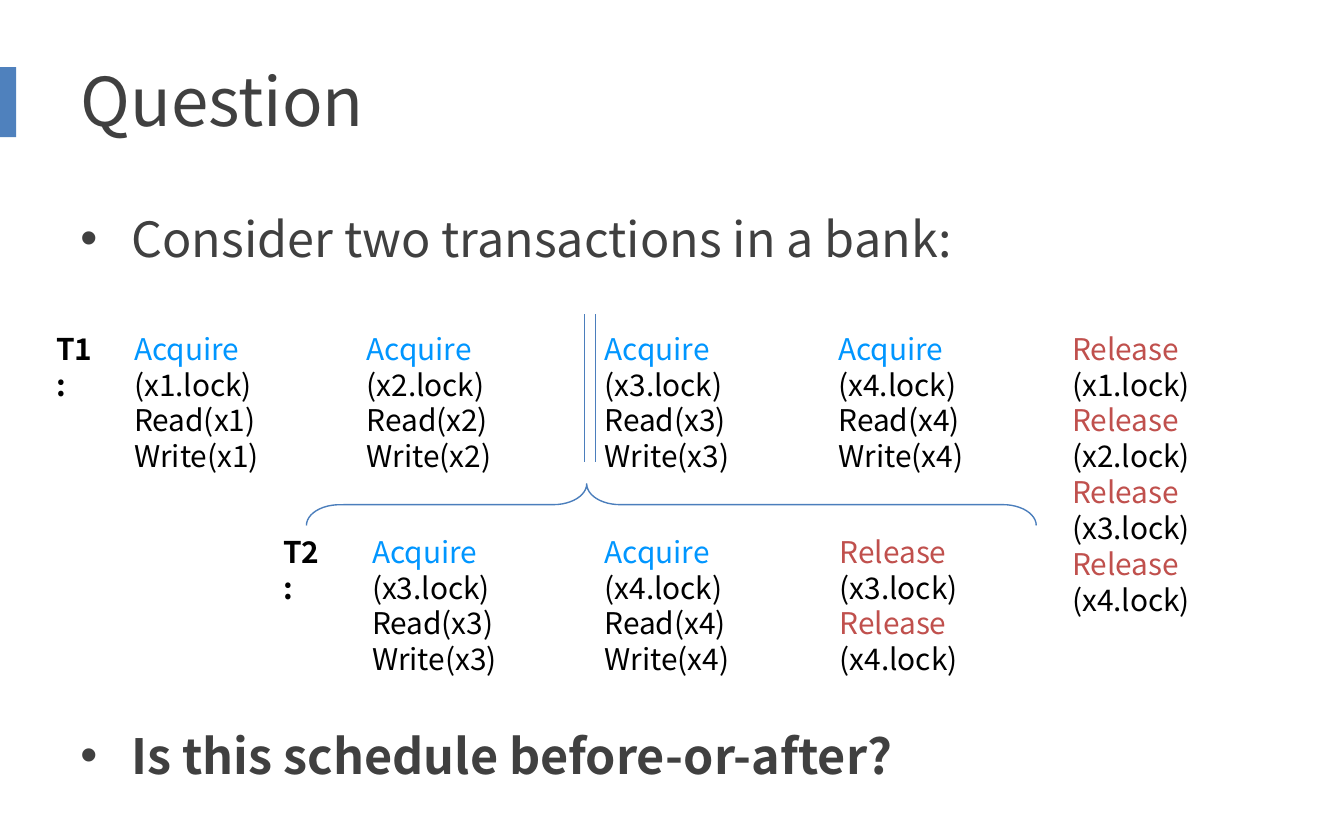
import dataclasses
import typing

import lxml.etree
import pptx
import pptx.dml.color
import pptx.enum.shapes
import pptx.enum.text
import pptx.oxml.ns
import pptx.util

Inches = pptx.util.Inches
RGBColor = pptx.dml.color.RGBColor
FONT = "Noto Sans CJK SC"
ACCENT = RGBColor(0x4F, 0x81, 0xBD)
LINE = RGBColor(0x4B, 0x7E, 0xBC)
GREY = RGBColor(0x40, 0x40, 0x40)
BLACK = RGBColor(0, 0, 0)
ACQUIRE = RGBColor(0x00, 0x96, 0xFF)
RELEASE = RGBColor(0xC0, 0x50, 0x4D)


class Run(typing.NamedTuple):
    text: str
    color: RGBColor = BLACK
    bold: bool = False


Lines = list[list[Run]]


@dataclasses.dataclass
class Block:
    left: float
    top: float
    width: float
    height: float
    lines: Lines


def acquire(item: str) -> Lines:
    return [[Run("Acquire ", ACQUIRE), Run(f"({item}.lock)")],
            [Run(f"Read({item})")], [Run(f"Write({item})")]]


def release(*items: str) -> Lines:
    return [[Run("Release ", RELEASE), Run(f"({item}.lock)")] for item in items]


def draw_block(slide, block: Block, size: float, spacing: float = 1.0,
               anchor=pptx.enum.text.MSO_ANCHOR.TOP, bullet: bool = False):
    box = slide.shapes.add_textbox(*map(Inches, (block.left, block.top, block.width, block.height)))
    frame = box.text_frame
    frame.word_wrap = True
    frame.vertical_anchor = anchor
    for index, line in enumerate(block.lines):
        paragraph = frame.add_paragraph() if index else frame.paragraphs[0]
        paragraph.line_spacing = spacing
        if bullet:
            add_bullet(paragraph)
        for part in line:
            run = paragraph.add_run()
            run.text = part.text
            style = {"name": FONT, "size": pptx.util.Pt(size), "bold": part.bold}
            for attribute, value in style.items():
                setattr(run.font, attribute, value)
            run.font.color.rgb = part.color
    return frame


def add_bullet(paragraph) -> None:
    properties = paragraph._p.get_or_add_pPr()
    properties.set("marL", str(Inches(0.38)))
    properties.set("indent", str(-Inches(0.38)))
    for tag, key, value in (("a:buFont", "typeface", "Arial"), ("a:buChar", "char", "•")):
        lxml.etree.SubElement(properties, pptx.oxml.ns.qn(tag)).set(key, value)


def draw_divider(slide, x: float) -> None:
    divider = slide.shapes.add_connector(
        pptx.enum.shapes.MSO_CONNECTOR.STRAIGHT, *map(Inches, (x, 2.34, x, 3.44)))
    divider.line.color.rgb = LINE
    divider.line.width = pptx.util.Pt(0.75)
    lxml.etree.SubElement(divider._element.spPr, pptx.oxml.ns.qn("a:effectLst"))


def draw_accent(slide) -> None:
    accent = slide.shapes.add_shape(
        pptx.enum.shapes.MSO_SHAPE.RECTANGLE, *map(Inches, (-0.06, 0.5, 0.18, 0.52)))
    accent.shadow.inherit = False
    accent.fill.solid()
    accent.fill.fore_color.rgb = ACCENT
    accent.line.fill.background()


def draw_brace(slide) -> None:
    brace = slide.shapes.add_shape(
        pptx.enum.shapes.MSO_SHAPE.LEFT_BRACE, *map(Inches, (4.84, 1.04, 0.31, 5.43)))
    brace.rotation = 90
    brace.adjustments[0] = 0.8
    brace.adjustments[1] = 0.616
    brace.shadow.inherit = False
    brace.fill.background()
    brace.line.color.rgb = LINE
    brace.line.width = pptx.util.Pt(0.75)


def main() -> None:
    """Build the slide that asks whether two locked transactions are before-or-after."""
    deck = pptx.Presentation()
    deck.slide_width, deck.slide_height = Inches(10), Inches(6.25)
    slide = deck.slides.add_slide(deck.slide_layouts[6])

    draw_accent(slide)
    draw_block(slide, Block(0.5, 0.25, 9, 0.98, [[Run("Question", GREY)]]), 36,
               anchor=pptx.enum.text.MSO_ANCHOR.MIDDLE)
    points = draw_block(slide, Block(0.5, 1.46, 9, 4.66, [
        [Run("Consider two transactions in a bank:", GREY)],
        [Run("Is this schedule before-or-after?", GREY, True)]]), 26, spacing=1.1, bullet=True)
    points.paragraphs[1].space_before = Inches(3.37)

    first_top, second_top = 2.41, 3.92
    steps = [
        Block(0.32, first_top, 0.51, 0.37, [[Run("T1:", bold=True)]]),
        *(Block(left, first_top, 1.78, 0.91, acquire(item))
          for left, item in zip((0.9, 2.63, 4.4, 6.14), ("x1", "x2", "x3", "x4"))),
        Block(7.88, first_top, 1.77, 1.18, release("x1", "x2", "x3", "x4")),
        Block(2.01, second_top, 0.51, 0.37, [[Run("T2:", bold=True)]]),
        *(Block(left, second_top, 1.78, 0.91, acquire(item))
          for left, item in zip((2.67, 4.4), ("x3", "x4"))),
        Block(6.15, second_top, 1.77, 0.64, release("x3", "x4")),
    ]
    for step in steps:
        draw_block(slide, step, 16)

    draw_brace(slide)
    for x in (4.35, 4.43):
        draw_divider(slide, x)
    deck.save("out.pptx")


if __name__ == "__main__":
    main()
